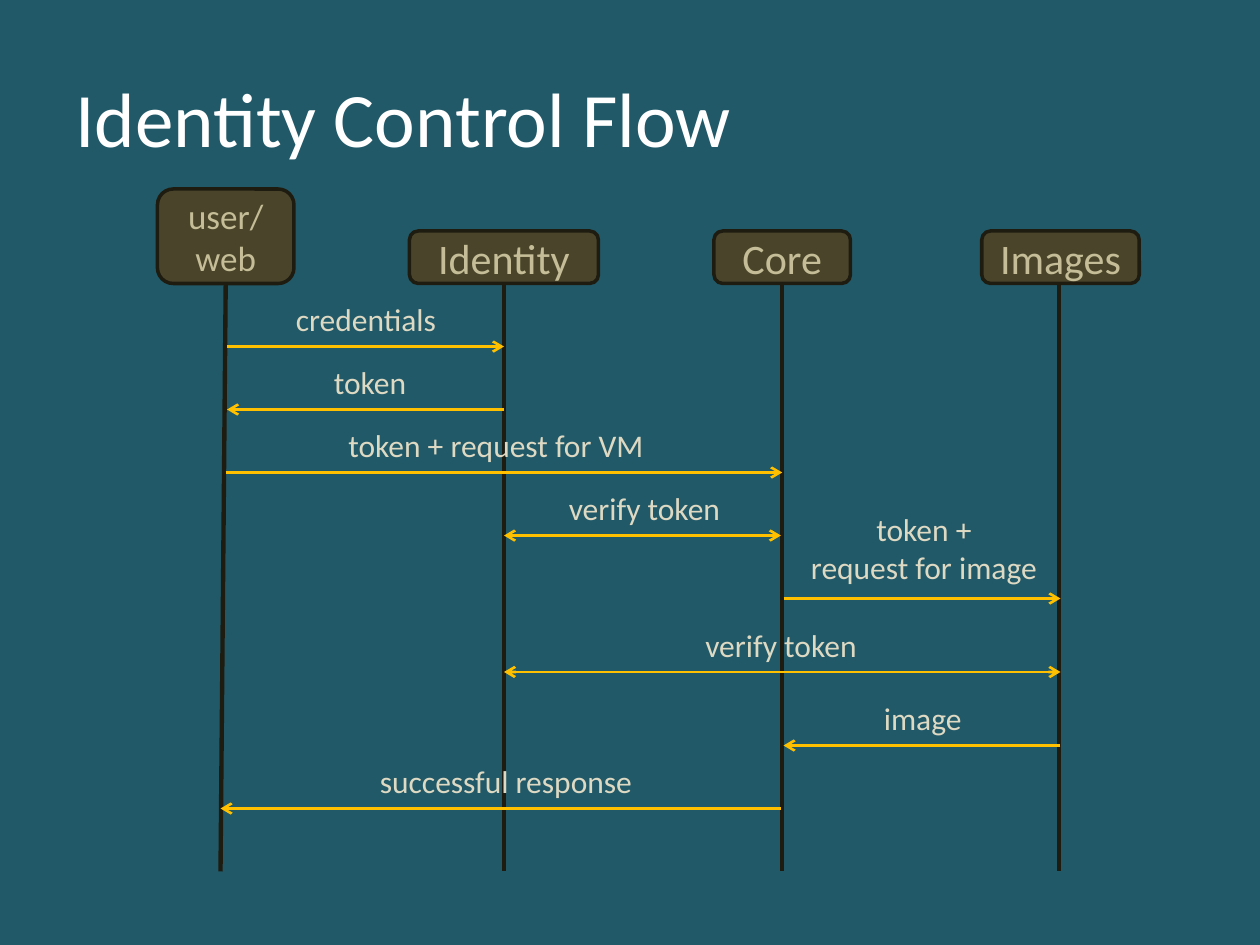
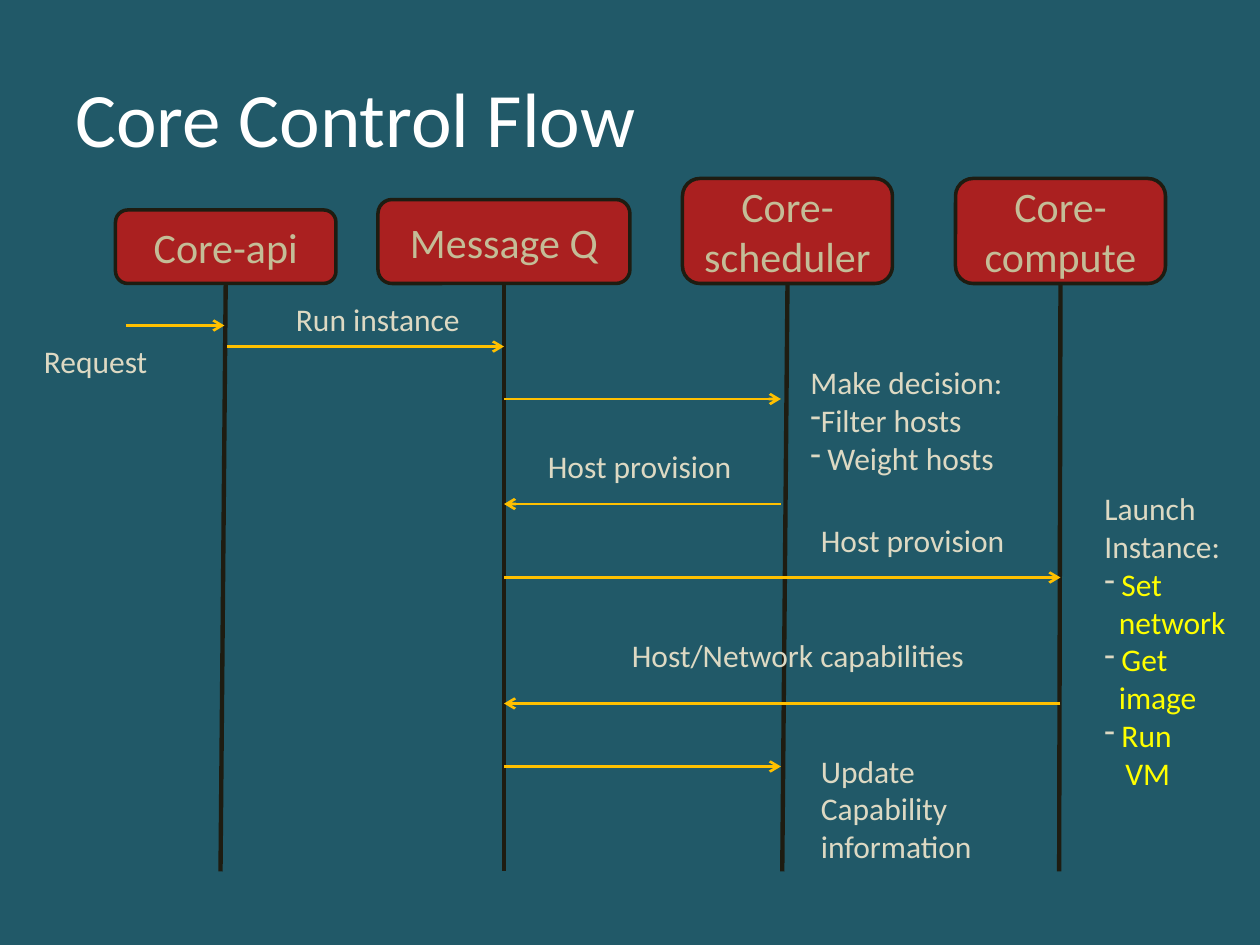
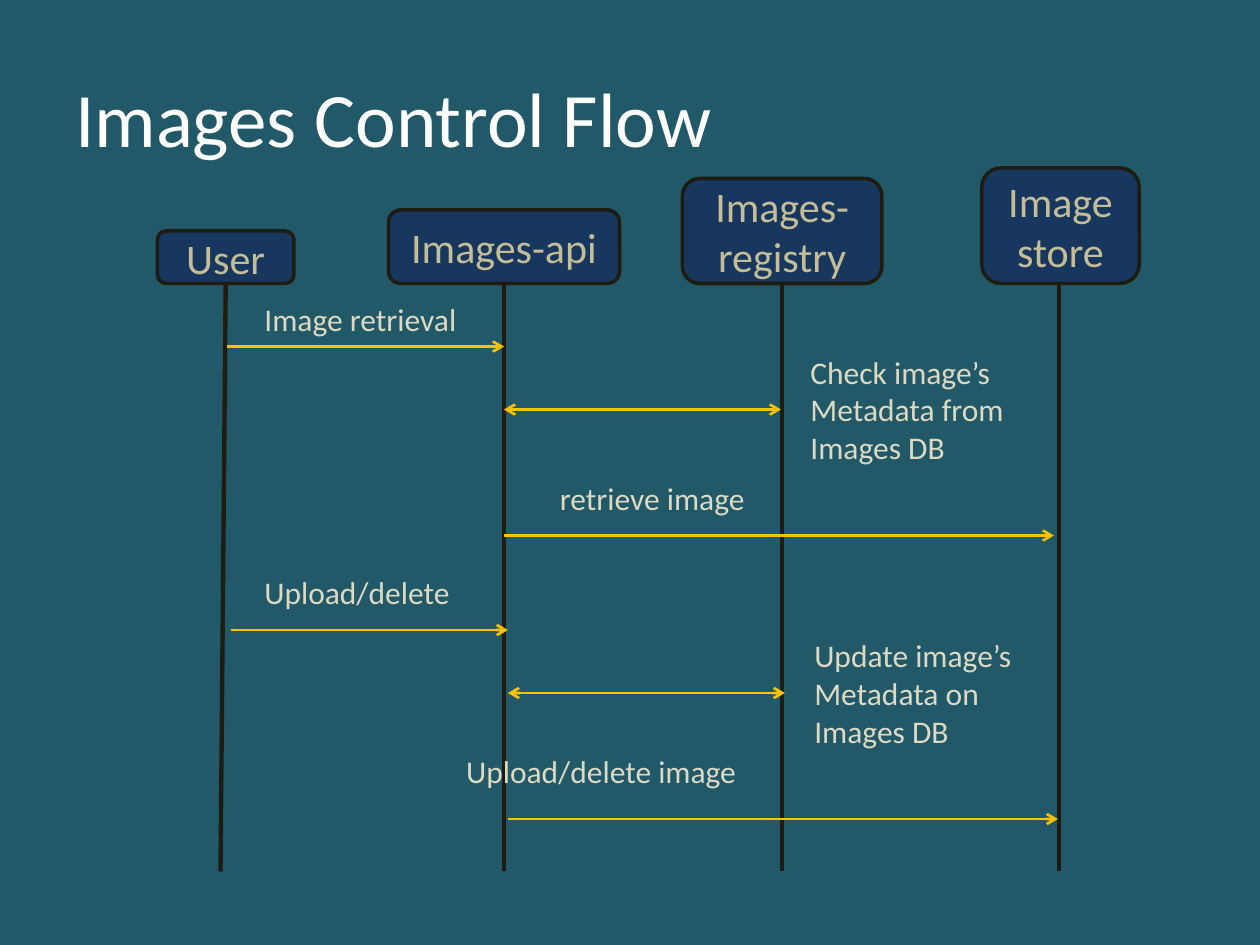
import pptx
import pptx.util
import pptx.dml.color
import pptx.enum.shapes
import pptx.enum.text
import pptx.oxml
import pptx.oxml.ns

PX = 9525
FONT = "Calibri"
COLORS = {
    "background": "215968",
    "title": "FFFFFF",
    "outline": "1E1C11",
    "box text": "C4BD97",
    "arrow": "FFC000",
    "label": "DDD9C3",
    "highlight": "FFFF00",
}
LEFT = pptx.enum.text.PP_ALIGN.LEFT
CENTER = pptx.enum.text.PP_ALIGN.CENTER
MIDDLE = pptx.enum.text.MSO_ANCHOR.MIDDLE
ROUNDED = pptx.enum.shapes.MSO_SHAPE.ROUNDED_RECTANGLE
STRAIGHT = pptx.enum.shapes.MSO_CONNECTOR.STRAIGHT

BOX_BOTTOM = 216
LIFELINE_BOTTOM = 664
LIFELINE_ENDS = [168, 384, 596, 807]
LABEL_HEIGHTS = {1: 39, 2: 68, 3: 97}

FLOWS = [
    {
        "title": "Identity Control Flow",
        "fill": "4A452A",
        "boxes": [
            (120, 144, 104, "user/\nweb"),
            (312, 176, 144, "Identity"),
            (544, 176, 104, "Core"),
            (748, 176, 120, "Images"),
        ],
        "lifeline starts": [172, 384, 596, 807],
        "arrows": [
            (173, 384, 264, "one"),
            (384, 173, 312, "one"),
            (172, 596, 360, "one"),
            (384, 595, 408, "both"),
            (597, 808, 456, "one"),
            (384, 808, 512, "both"),
            (808, 597, 568, "one"),
            (595, 168, 616, "one"),
        ],
        "labels": [
            (216, 224, 128, LEFT, "credentials"),
            (245, 272, 75, LEFT, "token"),
            (256, 320, 249, LEFT, "token + request for VM"),
            (424, 368, 136, LEFT, "verify token"),
            (607, 384, 194, CENTER, "token +\nrequest for image"),
            (528, 472, 136, LEFT, "verify token"),
            (664, 528, 80, LEFT, "image"),
            (280, 576, 214, LEFT, "successful response"),
        ],
    },
    {
        "title": "Core Control Flow",
        "fill": "AA2020",
        "boxes": [
            (88, 160, 168, "Core-api"),
            (288, 152, 192, "Message Q"),
            (520, 136, 160, "Core-scheduler"),
            (728, 136, 160, "Core-compute"),
        ],
        "lifeline starts": [172, 384, 600, 808],
        "arrows": [
            (96, 171, 248, "one"),
            (173, 384, 264, "one"),
            (384, 595, 304, "one"),
            (595, 384, 384, "one"),
            (384, 808, 440, "one"),
            (808, 384, 536, "one"),
            (384, 595, 584, "one"),
        ],
        "labels": [
            (24, 256, 99, LEFT, "Request"),
            (216, 224, 146, LEFT, "Run instance"),
            (408, 336, 160, LEFT, "Host provision"),
            (616, 392, 160, LEFT, "Host provision"),
            (472, 480, 276, LEFT, "Host/Network capabilities"),
            (616, 568, 135, LEFT, "Update\nCapability\ninformation"),
        ],
        "notes": [
            (608, 272, 167, 97, False, [
                ("", 0, "Make decision:", "label"),
                ("-", 7, "Filter hosts", "label"),
                ("-", 13, "Weight hosts", "label"),
            ]),
            (832, 368, 128, 242, True, [
                ("", 0, "Launch", "label"),
                ("", 0, "Instance:", "label"),
                ("-", 13, "Set", "highlight"),
                ("", 11, "network", "highlight"),
                ("-", 13, "Get", "highlight"),
                ("", 11, "image", "highlight"),
                ("-", 13, "Run", "highlight"),
                ("", 16, "VM", "highlight"),
            ]),
        ],
    },
    {
        "title": "Images Control Flow",
        "fill": "17375E",
        "boxes": [
            (120, 176, 104, "User"),
            (296, 160, 176, "Images-api"),
            (520, 136, 152, "Images-registry"),
            (748, 128, 120, "Image store"),
        ],
        "lifeline starts": [172, 384, 596, 807],
        "arrows": [
            (173, 384, 264, "one"),
            (384, 595, 312, "both"),
            (384, 803, 408, "one"),
            (176, 387, 480, "one"),
            (387, 598, 528, "both"),
            (387, 806, 624, "one"),
        ],
        "labels": [
            (192, 224, 167, LEFT, "Image retrieval"),
            (608, 264, 168, LEFT, "Check image’s\nMetadata from\nImages DB"),
            (416, 360, 162, CENTER, "retrieve image"),
            (192, 432, 162, LEFT, "Upload/delete"),
            (611, 480, 171, LEFT, "Update image’s\nMetadata on\nImages DB"),
            (344, 568, 228, CENTER, "Upload/delete image"),
        ],
    },
]


def write_text(shape, text, size, color, align=LEFT, wrap=True):
    frame = shape.text_frame
    frame.text = text
    frame.word_wrap = wrap
    for para in frame.paragraphs:
        para.alignment = align
        for span in para.runs:
            span.font.name = FONT
            span.font.size = pptx.util.Pt(size)
            span.font.color.rgb = pptx.dml.color.RGBColor.from_string(COLORS[color])
    return frame


def draw_line(page, start, end, color, width, arrowheads=()):
    line = page.shapes.add_connector(STRAIGHT, *[length * PX for length in start + end])
    line.line.color.rgb = pptx.dml.color.RGBColor.from_string(COLORS[color])
    line.line.width = pptx.util.Pt(width)
    outline = line.line._get_or_add_ln()
    for name in arrowheads:
        pptx.oxml.ns.qn("a:ln")
        head = outline.makeelement(pptx.oxml.ns.qn(name), {"type": "arrow"})
        outline.append(head)
    properties = line._element.spPr
    properties.append(properties.makeelement(pptx.oxml.ns.qn("a:effectLst"), {}))


deck = pptx.Presentation()
deck.slide_width = 960 * PX
deck.slide_height = 720 * PX
backdrop = deck.slide_master.background.fill
backdrop.solid()
backdrop.fore_color.rgb = pptx.dml.color.RGBColor.from_string(COLORS["background"])

for flow in FLOWS:
    page = deck.slides.add_slide(deck.slide_layouts[6])
    title = page.shapes.add_textbox(48 * PX, 29 * PX, 864 * PX, 120 * PX)
    write_text(title, flow["title"], 44, "title").vertical_anchor = MIDDLE

    for left, top, width, name in flow["boxes"]:
        box = page.shapes.add_shape(
            ROUNDED, left * PX, top * PX, width * PX, (BOX_BOTTOM - top) * PX
        )
        box.shadow.inherit = False
        box.fill.solid()
        box.fill.fore_color.rgb = pptx.dml.color.RGBColor.from_string(flow["fill"])
        box.line.color.rgb = pptx.dml.color.RGBColor.from_string(COLORS["outline"])
        box.line.width = pptx.util.Pt(2)
        size = 20 if "\n" in name else 24
        write_text(box, name, size, "box text", CENTER).vertical_anchor = MIDDLE

    for start, end in zip(flow["lifeline starts"], LIFELINE_ENDS):
        draw_line(page, (start, BOX_BOTTOM), (end, LIFELINE_BOTTOM), "outline", 2.5)

    for start, end, y, heads in flow["arrows"]:
        arrowheads = ("a:headEnd", "a:tailEnd") if heads == "both" else ("a:tailEnd",)
        draw_line(page, (start, y), (end, y), "arrow", 1.5, arrowheads)

    for left, top, width, align, text in flow["labels"]:
        height = LABEL_HEIGHTS[text.count("\n") + 1]
        label = page.shapes.add_textbox(left * PX, top * PX, width * PX, height * PX)
        frame = write_text(label, text, 18, "label", align, wrap=False)
        frame.auto_size = pptx.enum.text.MSO_AUTO_SIZE.SHAPE_TO_FIT_TEXT

    for left, top, width, height, wrap, lines in flow.get("notes", []):
        note = page.shapes.add_textbox(left * PX, top * PX, width * PX, height * PX)
        text = "\n".join(line[2] for line in lines)
        frame = write_text(note, text, 18, "label", wrap=wrap)
        frame.auto_size = pptx.enum.text.MSO_AUTO_SIZE.SHAPE_TO_FIT_TEXT
        for para, (bullet, indent, words, color) in zip(frame.paragraphs, lines):
            rgb = pptx.dml.color.RGBColor.from_string(COLORS[color])
            para.runs[0].font.color.rgb = rgb
            properties = para._p.get_or_add_pPr()
            properties.set("marL", str(indent * PX))
            if bullet:
                properties.set("indent", str(-indent * PX))
                namespace = pptx.oxml.ns.nsdecls("a")
                for markup in (
                    f'<a:buClr {namespace}><a:srgbClr val="{COLORS["label"]}"/></a:buClr>',
                    f"<a:buFontTx {namespace}/>",
                    f'<a:buChar {namespace} char="{bullet}"/>',
                ):
                    properties.append(pptx.oxml.parse_xml(markup))

deck.save("out.pptx")
